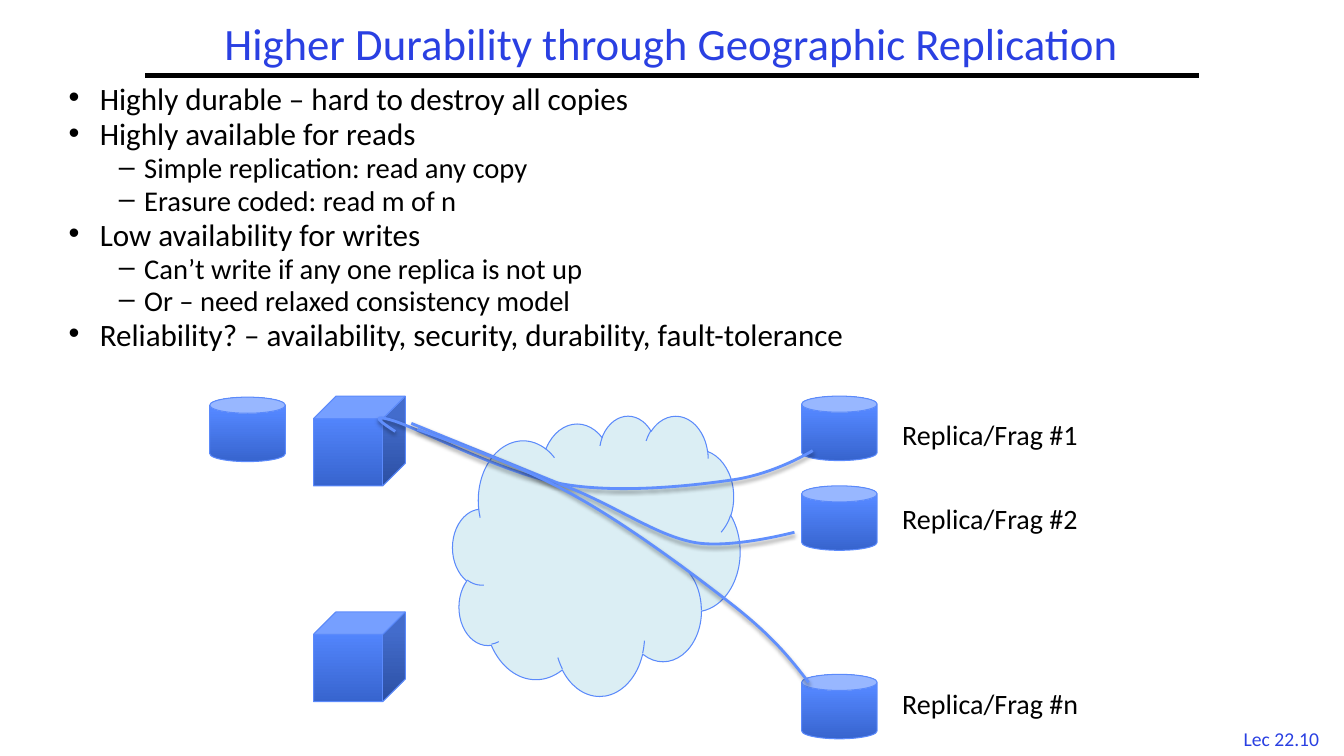
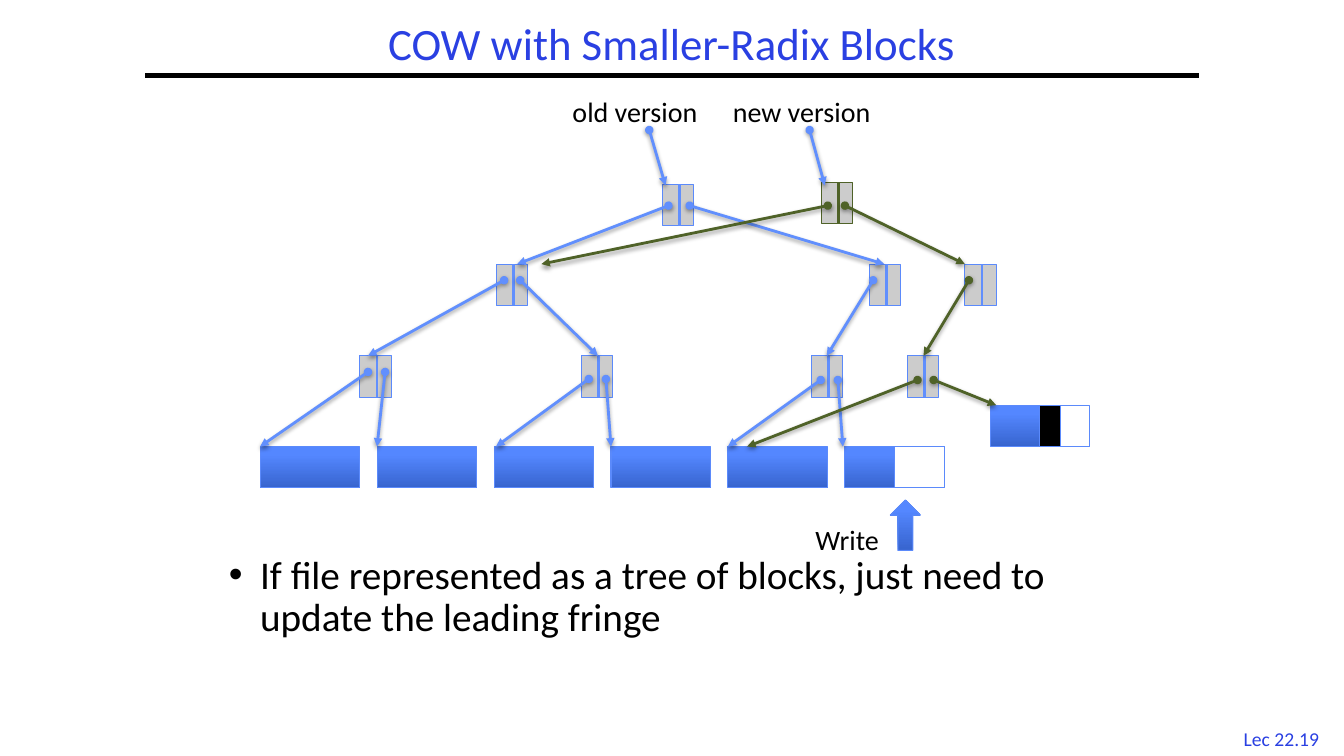
"""Two lecture slides: geographic replication and copy-on-write block trees."""
from lxml import etree
from pptx import Presentation
from pptx import util as u
from pptx.dml.color import RGBColor
from pptx.enum import shapes as sh, text as tx
from pptx.oxml.ns import qn

FONT = "Calibri"
WIDTH, HEIGHT = 13.33, 7.5
BLUE, INK, WHITE = "2A40E2", "000000", "FFFFFF"
EDGE, LINE, GREEN, GREY, PALE = "5B8AFB", "618FFD", "4F6228", "CCCCCC", "DBEEF4"
GRADIENT = [(0, "3764CE"), (0.8, "5487FF")]
INDENTS = [(0.31, -0.31), (0.75, -0.25)]

REPLICATION = {
    "title": "Higher Durability through Geographic Replication",
    "number": "Lec 22.10",
    "body_at": (0.58, 0.84, 11.42, 2.85),
    "sizes": (22.2, 20.4),
    "spacing": 0.7,
    "points": [
        (0, "Highly durable – hard to destroy all copies"),
        (0, "Highly available for reads"),
        (1, "Simple replication: read any copy"),
        (1, "Erasure coded: read m of n"),
        (0, "Low availability for writes"),
        (1, "Can’t write if any one replica is not up"),
        (1, "Or – need relaxed consistency model"),
        (0, "Reliability? – availability, security, durability, fault-tolerance"),
    ],
}
DISK, SERVER = (0.75, 0.64), (0.91, 0.89)
REPLICAS = [("Replica/Frag #1", 3.93, 4.09), ("Replica/Frag #2", 4.82, 4.93),
            ("Replica/Frag #n", 6.69, 6.76)]
SERVER_TOPS = [3.93, 6.07]
ROUTES = [
    ((3.92, 4.28), [
        [(3.78, 4.19), (3.64, 4.09), (3.92, 4.18)],
        [(4.19, 4.27), (5.01, 4.7), (5.57, 4.8)],
        [(6.13, 4.9), (6.86, 4.82), (7.27, 4.76)],
        [(7.69, 4.7), (8.06, 4.47), (8.06, 4.47)]]),
    ((4.08, 4.2), [
        [(5.7, 4.86)],
        [(6.17, 5.06), (6.52, 5.31), (6.88, 5.38)],
        [(7.24, 5.45), (7.88, 5.28), (7.88, 5.28)]]),
    ((4.14, 4.26), [
        [(4.67, 4.45), (5.19, 4.63), (5.72, 4.93)],
        [(6.24, 5.22), (6.91, 5.72), (7.29, 6.02)],
        [(7.68, 6.33), (7.85, 6.55), (8.02, 6.77)]]),
]

COW = {
    "title": "COW with Smaller-Radix Blocks",
    "number": "Lec 22.19",
    "body_at": (2.17, 5.46, 9, 1.43),
    "sizes": (28,),
    "spacing": 0.9,
    "points": [(0, "If file represented as a tree of blocks, just need to "
                   "update the leading fringe")],
}
NODE, BLOCK = (0.31, 0.41), (0.99, 0.41)
BLOCK_TOP = 4.43
BLOCK_LEFTS = [2.58 + 1.16 * i for i in range(6)]
NEW_BLOCK = (9.82, 4.02)
NODES = {
    "old root": (6.57, 1.83, (0.06, 0.27), 0.21),
    "left": (4.92, 2.62, (0.08, 0.24), 0.16),
    "right": (8.62, 2.62, (0.04, 0.2), 0.16),
    "leaf 1": (3.57, 3.53, (0.08, 0.25), 0.16),
    "leaf 2": (5.77, 3.53, (0.07, 0.24), 0.23),
    "leaf 3": (8.05, 3.53, (0.09, 0.26), 0.24),
    "new right": (9.57, 2.62, (0.04, 0.2), 0.16),
    "new leaf": (9, 3.53, (0.1, 0.26), 0.24),
    "new root": (8.15, 1.81, (0.06, 0.23), 0.23),
}
OLD_LINKS = [
    ("old root", 0, "left", 0.21), ("old root", 1, "right", 0.15),
    ("left", 0, "leaf 1", 0.08), ("left", 1, "leaf 2", 0.16), ("right", 0, "leaf 3", 0.15),
    ("leaf 1", 0, "block 1", 0), ("leaf 1", 1, "block 2", 0),
    ("leaf 2", 0, "block 3", 0.02), ("leaf 2", 1, "block 4", 0),
    ("leaf 3", 0, "block 5", 0), ("leaf 3", 1, "block 6", -0.02),
]
NEW_LINKS = [
    ("new root", 0, "left", 0.45), ("new root", 1, "new right", 0),
    ("new right", 0, "new leaf", 0.16),
    ("new leaf", 0, "block 5", 0.19), ("new leaf", 1, "new block", 0.06),
]
VERSIONS = [("old version", (5.58, 0.89, 1.56, 0.44), (6.44, 1.29), (6.6, 1.84)),
            ("new version", (7.17, 0.89, 1.7, 0.44), (8.03, 1.29), (8.18, 1.84))]


def rgb(value):
    return RGBColor.from_string(value)


def inches(values):
    return [u.Inches(v) for v in values]


def style(paragraph, size, color, align=None, spacing=None):
    paragraph.alignment = align
    paragraph.line_spacing = spacing
    paragraph.font.name = FONT
    paragraph.font.size = u.Pt(size)
    paragraph.font.color.rgb = rgb(color)


def label(slide, words, at, size=20, color=INK, align=None):
    frame = slide.shapes.add_textbox(*inches(at)).text_frame
    frame.word_wrap = True
    frame.text = words
    style(frame.paragraphs[0], size, color, align)


def stroke(shape, color, weight):
    shape.line.color.rgb = rgb(color)
    shape.line.width = u.Pt(weight)


def effects(shape, shadow):
    props = shape.element.spPr
    holder = props.find(qn("a:effectLst"))
    if holder is None:
        holder = etree.SubElement(props, qn("a:effectLst"))
    if shadow:
        cast = etree.SubElement(holder, qn("a:outerShdw"), blurRad="40000", dist="20000",
                                dir="5400000", rotWithShape="0")
        tint = etree.SubElement(cast, qn("a:srgbClr"), val=INK)
        etree.SubElement(tint, qn("a:alpha"), val="38000")


def solid(slide, kind, left, top, size, fill=None, edge=EDGE):
    shape = slide.shapes.add_shape(kind, *inches((left, top, *size)))
    shape.shadow.inherit = False
    if fill:
        shape.fill.solid()
        shape.fill.fore_color.rgb = rgb(fill)
    else:
        shape.fill.gradient()
        shape.fill.gradient_angle = 90
        for stop, (position, color) in zip(shape.fill.gradient_stops, GRADIENT):
            stop.position = position
            stop.color.rgb = rgb(color)
    stroke(shape, edge, 0.75)


def line(slide, start, end, color=LINE, weight=2, arrow=False):
    link = slide.shapes.add_connector(sh.MSO_CONNECTOR.STRAIGHT, *inches((*start, *end)))
    stroke(link, color, weight)
    if arrow:
        outline = link.element.spPr.find(qn("a:ln"))
        etree.SubElement(outline, qn("a:headEnd"), type="oval")
        etree.SubElement(outline, qn("a:tailEnd"), type="triangle")
    effects(link, arrow)


def curve(slide, start, segments):
    builder = slide.shapes.build_freeform(*inches(start))
    builder.add_line_segments([inches(p) for part in segments for p in part], close=False)
    route = builder.convert_to_shape()
    steps = iter(list(route.element.iter(qn("a:lnTo"))))
    for part in segments:
        first, *others = [next(steps) for _ in part]
        if others:
            bend = etree.Element(qn("a:cubicBezTo"))
            first.addprevious(bend)
            for step in (first, *others):
                bend.append(step[0])
                step.getparent().remove(step)
    route.shadow.inherit = False
    route.fill.background()
    stroke(route, LINE, 2)
    effects(route, True)


def place(holder, at, anchor):
    holder.left, holder.top, holder.width, holder.height = inches(at)
    frame = holder.text_frame
    frame.auto_size = tx.MSO_AUTO_SIZE.NONE
    frame.vertical_anchor = anchor
    return frame


def lecture_slide(deck, content):
    slide = deck.slides.add_slide(deck.slide_layouts[1])
    heading = place(slide.shapes.title, (1.44, 0.17, 10.44, 0.58), tx.MSO_ANCHOR.MIDDLE)
    heading.text = content["title"]
    style(heading.paragraphs[0], 32, BLUE, tx.PP_ALIGN.CENTER, 0.9)
    body = place(slide.placeholders[1], content["body_at"], tx.MSO_ANCHOR.TOP)
    body.text = "\n".join(words for _, words in content["points"])
    for i, (paragraph, (level, _)) in enumerate(zip(body.paragraphs, content["points"])):
        size = content["sizes"][level]
        paragraph.level = level
        margin, indent = inches(INDENTS[level])
        props = paragraph._p.get_or_add_pPr()
        props.set("marL", str(margin))
        props.set("indent", str(indent))
        style(paragraph, size, INK, spacing=content["spacing"])
        paragraph.space_before = u.Pt(round(0.3 * size - 0.1, 1) if i else 0)
    line(slide, (1.44, 0.75), (11.89, 0.75), INK, 3)
    label(slide, content["number"], (12.17, 7.16, 1.08, 0.33), 14, BLUE, tx.PP_ALIGN.CENTER)
    return slide


def replication_slide(deck):
    slide = lecture_slide(deck, REPLICATION)
    for words, disk_top, label_top in REPLICAS:
        solid(slide, sh.MSO_SHAPE.CAN, 7.95, disk_top, DISK)
        label(slide, words, (8.85, label_top, 2.18, 0.44))
    solid(slide, sh.MSO_SHAPE.CAN, 2.08, 3.94, DISK)
    for top in SERVER_TOPS:
        solid(slide, sh.MSO_SHAPE.CUBE, 3.11, top, SERVER)
    solid(slide, sh.MSO_SHAPE.CLOUD, 4.49, 4.12, (2.85, 2.78), PALE)
    for start, segments in ROUTES:
        curve(slide, start, segments)


def cow_slide(deck):
    slide = lecture_slide(deck, COW)
    box = sh.MSO_SHAPE.RECTANGLE
    half = (BLOCK[0] / 2, BLOCK[1])
    corners = {f"block {i}": (left, BLOCK_TOP) for i, left in enumerate(BLOCK_LEFTS, 1)}
    corners["new block"] = NEW_BLOCK
    for left, top in corners.values():
        solid(slide, box, left, top, BLOCK)
    for name in ("block 6", "new block"):
        left, top = corners[name]
        solid(slide, box, left + half[0], top, half, WHITE)
    solid(slide, box, NEW_BLOCK[0] + half[0], NEW_BLOCK[1], (0.2, BLOCK[1]), INK)

    for name, (left, top, _, _) in NODES.items():
        corners[name] = (left, top)
        fresh = name == "new root"
        middle = left + 0.17
        solid(slide, box, left, top, NODE, GREY, GREEN if fresh else EDGE)
        line(slide, (middle, top), (middle, top + NODE[1]), GREEN if fresh else LINE)
    for links, color in ((OLD_LINKS, LINE), (NEW_LINKS, GREEN)):
        for source, slot, target, shift in links:
            left, top, slots, drop = NODES[source]
            end_left, end_top = corners[target]
            line(slide, (left + slots[slot], top + drop),
                 (end_left + shift, end_top), color, arrow=True)

    for words, at, start, end in VERSIONS:
        label(slide, words, at)
        line(slide, start, end, arrow=True)
    solid(slide, sh.MSO_SHAPE.UP_ARROW, 8.83, 4.96, (0.3, 0.5))
    label(slide, "Write", (7.99, 5.13, 0.93, 0.44))


def main():
    deck = Presentation()
    deck.slide_width, deck.slide_height = inches((WIDTH, HEIGHT))
    replication_slide(deck)
    cow_slide(deck)
    deck.save("out.pptx")


if __name__ == "__main__":
    main()
